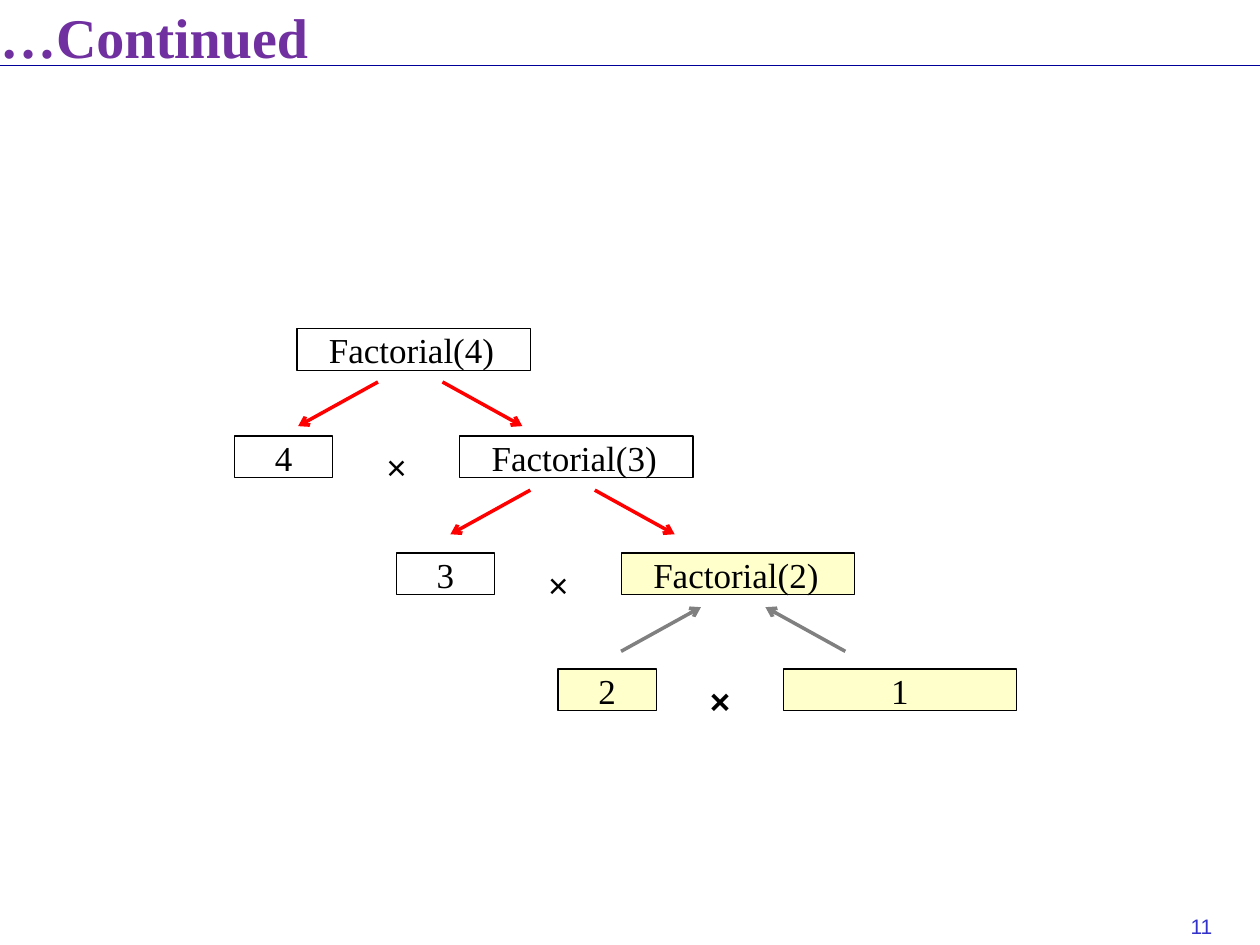
from lxml import etree
from pptx import Presentation
from pptx import util as u
from pptx.dml.color import RGBColor
from pptx.enum import shapes, text
from pptx.oxml import ns

BLACK = RGBColor(0x00, 0x00, 0x00)
PURPLE = RGBColor(0x70, 0x30, 0xA0)
NAVY = RGBColor(0x00, 0x00, 0x99)
BLUE = RGBColor(0x33, 0x33, 0xCC)
RED = RGBColor(0xFF, 0x00, 0x00)
GRAY = RGBColor(0x80, 0x80, 0x80)
CREAM = RGBColor(0xFF, 0xFF, 0xCC)
SERIF, SANS = "Times New Roman", "Arial"
CENTER, LEFT = text.PP_ALIGN.CENTER, text.PP_ALIGN.LEFT


def write(part, wording, size, font, color, align=LEFT, bold=False,
          margins=(0, 0, 0, 0), anchor=text.MSO_ANCHOR.TOP):
    frame = part.text_frame
    frame.auto_size = text.MSO_AUTO_SIZE.NONE
    frame.word_wrap = True
    frame.vertical_anchor = anchor
    (frame.margin_left, frame.margin_top,
     frame.margin_right, frame.margin_bottom) = [u.Cm(m) for m in margins]
    paragraph = frame.paragraphs[0]
    paragraph.alignment = align
    run = paragraph.add_run()
    run.text = wording
    run.font.size, run.font.name = u.Pt(size), font
    run.font.bold = bold
    run.font.color.rgb = color


def draw_line(x1, y1, x2, y2, color, width, arrow=False):
    line = slide.shapes.add_connector(
        shapes.MSO_CONNECTOR.STRAIGHT, u.Cm(x1), u.Cm(y1), u.Cm(x2), u.Cm(y2))
    line.line.color.rgb = color
    line.line.width = u.Pt(width)
    if arrow:
        etree.SubElement(line.line._get_or_add_ln(), ns.qn("a:tailEnd"), type="arrow")
    etree.SubElement(line._element.spPr, ns.qn("a:effectLst"))


prs = Presentation()
prs.slide_width, prs.slide_height = u.Cm(25.4), u.Cm(19.05)
slide = prs.slides.add_slide(prs.slide_layouts[5])

draw_line(0, 1.32, 25.4, 1.32, NAVY, 1)
page_number = slide.shapes.add_textbox(u.Cm(23.75), u.Cm(18.29), u.Cm(1.6), u.Cm(0.76))
write(page_number, "11", 12, SANS, BLUE, margins=(0.25, 0.13, 0.25, 0.13))

heading = slide.shapes.title
heading.left, heading.top = u.Cm(0), u.Cm(-0.46)
heading.width, heading.height = u.Cm(12.75), u.Cm(1.85)
write(heading, "…Continued", 32, SERIF, PURPLE, bold=True,
      margins=(0, 0.51, 0, 0), anchor=text.MSO_ANCHOR.MIDDLE)

CALL_WIDTH, FACTOR_WIDTH, BOX_HEIGHT = 4.7, 1.98, 0.84
boxes = [("Factorial(4)", 5.99, 6.63, CALL_WIDTH, None)]
levels = [
    ("4", "Factorial(3)", 8.79, None, None),
    ("3", "Factorial(2)", 11.15, None, CREAM),
    ("2", "1", 13.49, CREAM, CREAM),
]
for level, (factor, call, top, factor_fill, call_fill) in enumerate(levels):
    left = 4.73 + 3.26 * level
    boxes.append((factor, left, top, FACTOR_WIDTH, factor_fill))
    boxes.append((call, left + 4.54, top, CALL_WIDTH, call_fill))
    times = slide.shapes.add_textbox(
        u.Cm(left + 3.06), u.Cm(top + 0.2), u.Cm(0.46), u.Cm(BOX_HEIGHT))
    write(times, "×", 20, SANS, BLACK, bold=level == 2)

for wording, left, top, width, fill in boxes:
    box = slide.shapes.add_shape(
        shapes.MSO_SHAPE.RECTANGLE, u.Cm(left), u.Cm(top), u.Cm(width), u.Cm(BOX_HEIGHT))
    box.shadow.inherit = False
    if fill is None:
        box.fill.background()
    else:
        box.fill.solid()
        box.fill.fore_color.rgb = fill
    box.line.color.rgb = BLACK
    box.line.width = u.Pt(0.75)
    is_call = wording.startswith("Factorial")
    write(box, wording, 20, SERIF, BLACK, LEFT if is_call else CENTER,
          margins=(0.64 if is_call else 0, 0, 0, 0))

for middle, top, color, returning in [
    (8.27, 7.7, RED, False), (11.34, 9.88, RED, False), (14.78, 12.24, GRAY, True)
]:
    for side in (-1, 1):
        near = (middle + side * 0.65, top)
        far = (middle + side * 2.26, top + 0.89)
        start, tip = (far, near) if returning else (near, far)
        draw_line(*start, *tip, color, 2, arrow=True)

prs.save("out.pptx")
